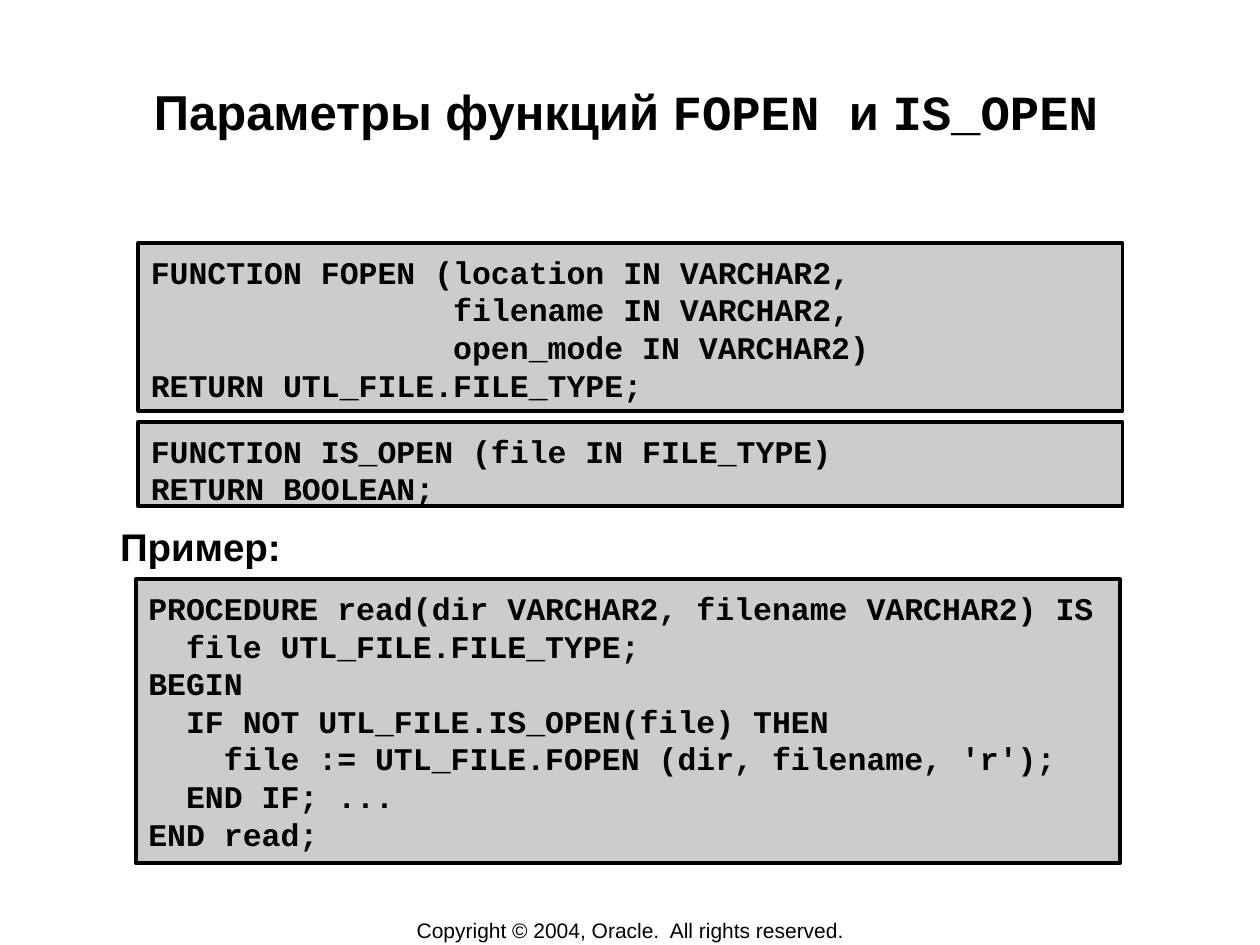
"""Build the slide on the parameters of the FOPEN and IS_OPEN functions."""

from pptx import Presentation
from pptx.dml.color import RGBColor
from pptx.enum.shapes import MSO_SHAPE as Shape
from pptx.enum.text import MSO_ANCHOR as Anchor, MSO_AUTO_SIZE as AutoSize, PP_ALIGN as Align
from pptx.oxml.xmlchemy import OxmlElement
from pptx.util import Cm, Pt

BLACK = RGBColor(0, 0, 0)
GREY = RGBColor(0xCC, 0xCC, 0xCC)
SANS, MONO = "Arial", "Courier New"

HEADING = [
    ("Параметры функций ", SANS),
    ("FOPEN ", MONO),
    ("и ", SANS),
    ("IS_OPEN", MONO),
]
EXAMPLE_LABEL = "Пример:"
COPYRIGHT = "Copyright © 2004, Oracle.  All rights reserved."

LISTINGS = [
    ((2.79, 4.9, 19.84, 3.38), [
        "FUNCTION FOPEN (location IN VARCHAR2,",
        "                filename IN VARCHAR2,",
        "                open_mode IN VARCHAR2)",
        "RETURN UTL_FILE.FILE_TYPE;",
    ]),
    ((2.79, 8.51, 19.84, 1.7), [
        "FUNCTION IS_OPEN (file IN FILE_TYPE)",
        "RETURN BOOLEAN;",
    ]),
    ((2.74, 11.68, 19.84, 5.72), [
        "PROCEDURE read(dir VARCHAR2, filename VARCHAR2) IS",
        "  file UTL_FILE.FILE_TYPE;",
        "BEGIN",
        "  IF NOT UTL_FILE.IS_OPEN(file) THEN",
        "    file := UTL_FILE.FOPEN (dir, filename, 'r');",
        "  END IF; ...",
        "END read;",
    ]),
]


def place(shape, left, top, width, height):
    shape.left, shape.top = Cm(left), Cm(top)
    shape.width, shape.height = Cm(width), Cm(height)


def set_frame(frame, anchor, side, top, bottom, wrap=True):
    frame.auto_size = AutoSize.NONE
    frame.word_wrap = wrap
    frame.vertical_anchor = anchor
    frame.margin_left = frame.margin_right = Cm(side)
    frame.margin_top, frame.margin_bottom = Cm(top), Cm(bottom)


def add_run(paragraph, text, size, font=SANS, bold=True):
    run = paragraph.add_run()
    run.text = text
    run.font.name, run.font.size, run.font.bold = font, Pt(size), bold
    run.font.color.rgb = BLACK


def add_listing(slide, box, lines):
    listing = slide.shapes.add_shape(Shape.RECTANGLE, *map(Cm, box))
    listing.shadow.inherit = False
    listing.fill.solid()
    listing.fill.fore_color.rgb = GREY
    listing.line.color.rgb = BLACK
    listing.line.width = Pt(2.25)
    frame = listing.text_frame
    set_frame(frame, Anchor.TOP, 0.25, 0.2, 0.13)
    for number, line in enumerate(lines):
        paragraph = frame.add_paragraph() if number else frame.paragraphs[0]
        paragraph.alignment = Align.LEFT
        paragraph.line_spacing = Pt(21.5)
        add_run(paragraph, line, 18, MONO)


def main():
    deck = Presentation()
    deck.slide_width, deck.slide_height = Cm(25.4), Cm(19.05)
    slide = deck.slides.add_slide(deck.slide_layouts[1])

    heading = slide.shapes.title
    place(heading, 2.46, 1.47, 20.32, 2.44)
    set_frame(heading.text_frame, Anchor.TOP, 0.03, 0.17, 0.03)
    heading_line = heading.text_frame.paragraphs[0]
    heading_line.alignment = Align.CENTER
    for text, font in HEADING:
        add_run(heading_line, text, 28, font)

    example = slide.placeholders[1]
    place(example, 2.39, 4.88, 20.47, 6.63)
    set_frame(example.text_frame, Anchor.BOTTOM, 0.03, 0.03, 0.03)
    example_line = example.text_frame.paragraphs[0]
    properties = example_line._p.get_or_add_pPr()
    properties.set("marL", "0")
    properties.set("indent", "0")
    properties.append(OxmlElement("a:buNone"))
    example_line.space_before = Pt(0)
    add_run(example_line, EXAMPLE_LABEL, 22)

    for box, lines in LISTINGS:
        add_listing(slide, box, lines)

    footer = slide.shapes.add_textbox(Cm(7.01), Cm(18.49), Cm(11.4), Cm(0.53))
    set_frame(footer.text_frame, Anchor.MIDDLE, 0.25, 0.13, 0.13, wrap=False)
    footer_line = footer.text_frame.paragraphs[0]
    footer_line.alignment = Align.CENTER
    add_run(footer_line, COPYRIGHT, 12, bold=False)

    deck.save("out.pptx")


if __name__ == "__main__":
    main()
